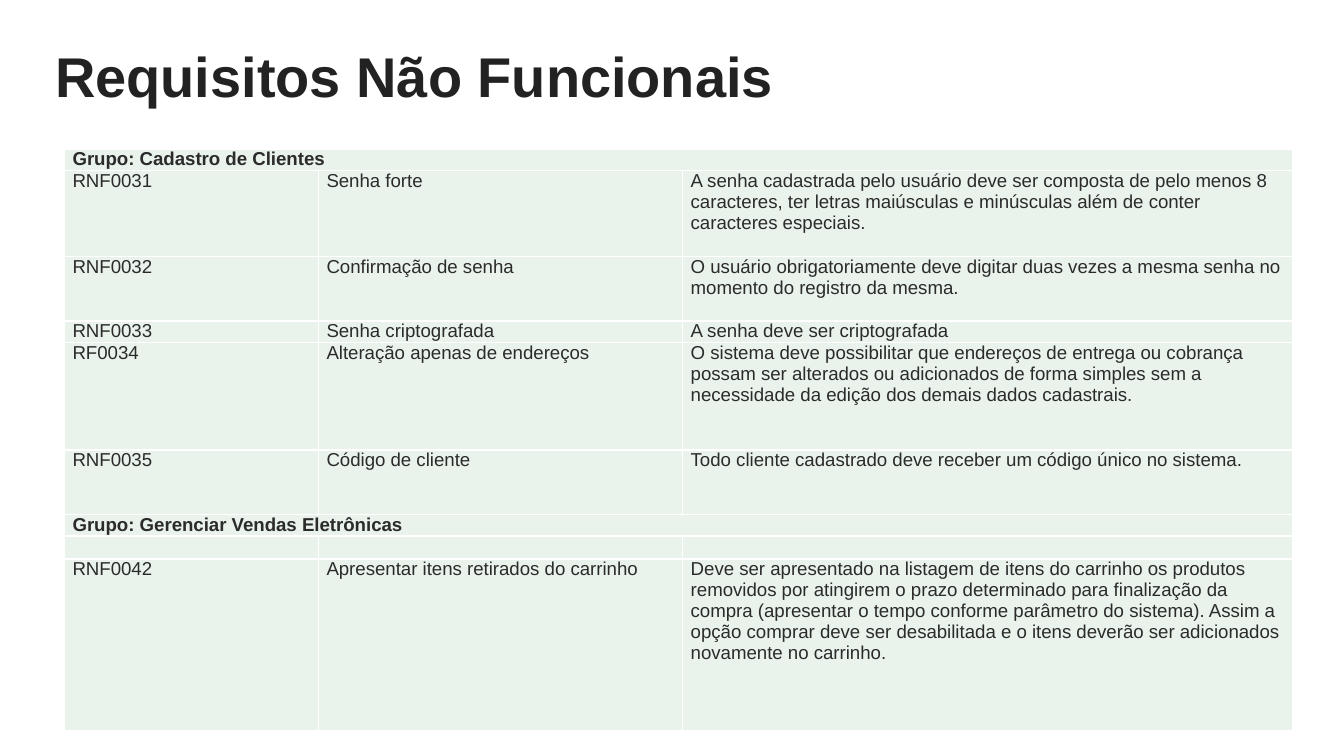
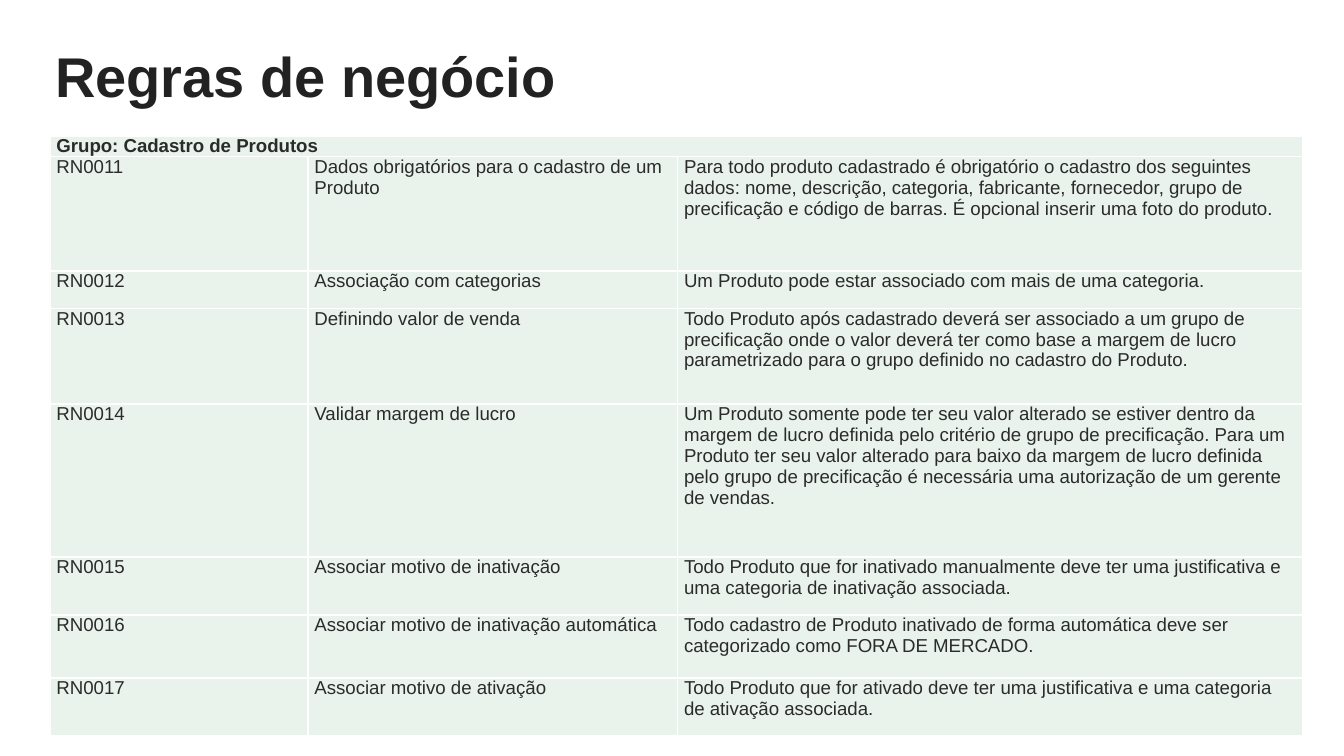
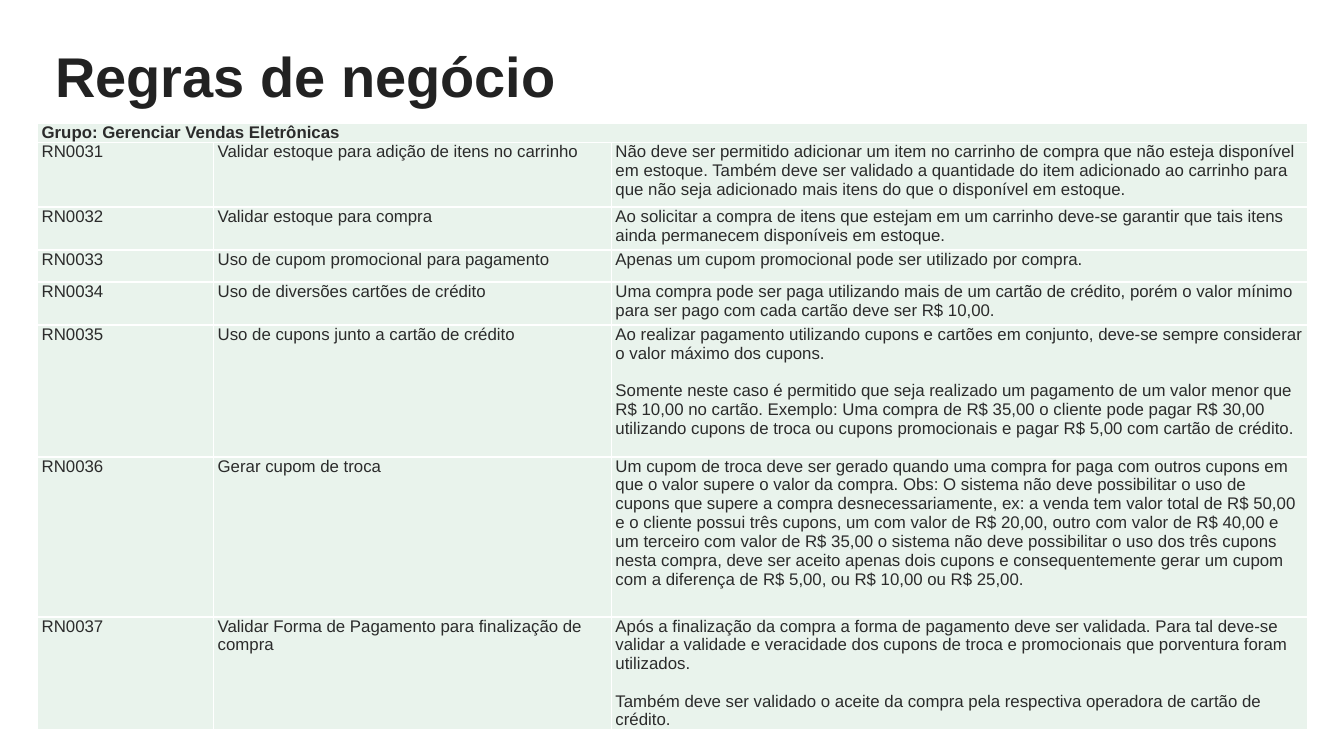
import pptx
import pptx.dml.color
import pptx.enum.text
import pptx.oxml
import pptx.oxml.ns
import pptx.util
from dataclasses import dataclass
from lxml import etree

Inches = pptx.util.Inches
Pt = pptx.util.Pt
qn = pptx.oxml.ns.qn


@dataclass(frozen=True)
class Theme:
    font: str = "Arial"
    title_color: str = "222222"
    text_color: str = "2B2B2B"
    cell_fill: str = "E9F3EC"
    border: str = "FFFFFF"
    border_pt: float = 1
    title_pt: float = 30
    body_pt: float = 10
    small_pt: float = 9


THEME = Theme()


# A row with one text is a group heading that spans the table.
NON_FUNCTIONAL = [
    ["Grupo: Cadastro de Clientes"],
    ["RNF0031", "Senha forte",
     "A senha cadastrada pelo usuário deve ser composta de pelo menos 8 caracteres, ter letras "
     "maiúsculas e minúsculas além de conter caracteres especiais."],
    ["RNF0032", "Confirmação de senha",
     "O usuário obrigatoriamente deve digitar duas vezes a mesma senha no momento do registro "
     "da mesma."],
    ["RNF0033", "Senha criptografada", "A senha deve ser criptografada"],
    ["RF0034", "Alteração apenas de endereços",
     "O sistema deve possibilitar que endereços de entrega ou cobrança possam ser alterados ou "
     "adicionados de forma simples sem a necessidade da edição dos demais dados cadastrais."],
    ["RNF0035", "Código de cliente",
     "Todo cliente cadastrado deve receber um código único no sistema."],
    ["Grupo: Gerenciar Vendas Eletrônicas"],
    ["", "", ""],
    ["RNF0042", "Apresentar itens retirados do carrinho",
     "Deve ser apresentado na listagem de itens do carrinho os produtos removidos por atingirem "
     "o prazo determinado para finalização da compra (apresentar o tempo conforme parâmetro do "
     "sistema). Assim a opção comprar deve ser desabilitada e o itens deverão ser adicionados "
     "novamente no carrinho."],
]

PRODUCT_RULES = [
    ["Grupo: Cadastro de Produtos"],
    ["RN0011", "Dados obrigatórios para o cadastro de um Produto",
     "Para todo produto cadastrado é obrigatório o cadastro dos seguintes dados: nome, "
     "descrição, categoria, fabricante, fornecedor, grupo de precificação e código de barras. "
     "É opcional inserir uma foto do produto."],
    ["RN0012", "Associação com categorias",
     "Um Produto pode estar associado com mais de uma categoria."],
    ["RN0013", "Definindo valor de venda",
     "Todo Produto após cadastrado deverá ser associado a um grupo de precificação onde o valor "
     "deverá ter como base a margem de lucro parametrizado para o grupo definido no cadastro "
     "do Produto."],
    ["RN0014", "Validar margem de lucro",
     "Um Produto somente pode ter seu valor alterado se estiver dentro da margem de lucro "
     "definida pelo critério de grupo de precificação. Para um Produto ter seu valor alterado "
     "para baixo da margem de lucro definida pelo grupo de precificação é necessária uma "
     "autorização de um gerente de vendas."],
    ["RN0015", "Associar motivo de inativação",
     "Todo Produto que for inativado manualmente deve ter uma justificativa e uma categoria de "
     "inativação associada."],
    ["RN0016", "Associar motivo de inativação automática",
     "Todo cadastro de Produto inativado de forma automática deve ser categorizado como FORA "
     "DE MERCADO."],
    ["RN0017", "Associar motivo de ativação",
     "Todo Produto que for ativado deve ter uma justificativa e uma categoria de ativação "
     "associada."],
]

SALES_RULES = [
    ["Grupo: Gerenciar Vendas Eletrônicas"],
    ["RN0031", "Validar estoque para adição de itens no carrinho",
     "Não deve ser permitido adicionar um item no carrinho de compra que não esteja disponível "
     "em estoque. Também deve ser validado a quantidade do item adicionado ao carrinho para que "
     "não seja adicionado mais itens do que o disponível em estoque."],
    ["RN0032", "Validar estoque para compra",
     "Ao solicitar a compra de itens que estejam em um carrinho deve-se garantir que tais itens "
     "ainda permanecem disponíveis em estoque."],
    ["RN0033", "Uso de cupom promocional para pagamento",
     "Apenas um cupom promocional pode ser utilizado por compra."],
    ["RN0034", "Uso de diversões cartões de crédito",
     "Uma compra pode ser paga utilizando mais de um cartão de crédito, porém o valor mínimo "
     "para ser pago com cada cartão deve ser R$ 10,00."],
    ["RN0035", "Uso de cupons junto a cartão de crédito",
     "Ao realizar pagamento utilizando cupons e cartões em conjunto, deve-se sempre considerar "
     "o valor máximo dos cupons.\n"
     "Somente neste caso é permitido que seja realizado um pagamento de um valor menor que "
     "R$ 10,00 no cartão. Exemplo: Uma compra de R$ 35,00 o cliente pode pagar R$ 30,00 "
     "utilizando cupons de troca ou cupons promocionais e pagar R$ 5,00 com cartão de crédito."],
    ["RN0036", "Gerar cupom de troca",
     "Um cupom de troca deve ser gerado quando uma compra for paga com outros cupons em que o "
     "valor supere o valor da compra. Obs: O sistema não deve possibilitar o uso de cupons que "
     "supere a compra desnecessariamente, ex: a venda tem valor total de R$ 50,00 e o cliente "
     "possui três cupons, um com valor de R$ 20,00, outro com valor de R$ 40,00 e um terceiro "
     "com valor de R$ 35,00 o sistema não deve possibilitar o uso dos três cupons nesta compra, "
     "deve ser aceito apenas dois cupons e consequentemente gerar um cupom com a diferença de "
     "R$ 5,00, ou R$ 10,00 ou R$ 25,00."],
    ["RN0037", "Validar Forma de Pagamento para finalização de compra",
     "Após a finalização da compra a forma de pagamento deve ser validada. Para tal deve-se "
     "validar a validade e veracidade dos cupons de troca e promocionais que porventura foram "
     "utilizados.\n"
     "Também deve ser validado o aceite da compra pela respectiva operadora de cartão de "
     "crédito."],
]


def style_font(font, size, color, bold):
    font.name = THEME.font
    font.size = Pt(size)
    font.bold = bold
    font.color.rgb = pptx.dml.color.RGBColor.from_string(color)


def add_titled_slide(prs, title):
    """Add a slide with its heading in the title placeholder."""
    slide = prs.slides.add_slide(prs.slide_layouts[5])
    sp = slide.shapes.title
    sp.left, sp.top, sp.width, sp.height = map(Inches, (0.31, 0.21, 9.32, 0.66))
    tf = sp.text_frame
    tf.text = title
    tf.word_wrap = True
    tf.auto_size = pptx.enum.text.MSO_AUTO_SIZE.NONE
    tf.vertical_anchor = pptx.enum.text.MSO_ANCHOR.TOP
    tf.margin_left = tf.margin_right = Inches(0.1)
    tf.margin_top = tf.margin_bottom = Inches(0.1)
    p = tf.paragraphs[0]
    p.alignment = pptx.enum.text.PP_ALIGN.LEFT
    style_font(p.runs[0].font, THEME.title_pt, THEME.title_color, True)
    return slide


def set_borders(cell):
    """Rule all four sides; borders must precede the fill in the cell XML."""
    tc_pr = cell._tc.get_or_add_tcPr()
    for i, side in enumerate(("a:lnL", "a:lnR", "a:lnT", "a:lnB")):
        ln = etree.Element(qn(side), w=str(Pt(THEME.border_pt)))
        fill = etree.SubElement(ln, qn("a:solidFill"))
        etree.SubElement(fill, qn("a:srgbClr"), val=THEME.border)
        tc_pr.insert(i, ln)


def fill_cell(cell, text, size, inset, bold):
    cell.fill.solid()
    cell.fill.fore_color.rgb = pptx.dml.color.RGBColor.from_string(THEME.cell_fill)
    set_borders(cell)
    cell.margin_left = cell.margin_right = Inches(inset)
    cell.margin_top = cell.margin_bottom = 0
    cell.text_frame.text = text
    for i, p in enumerate(cell.text_frame.paragraphs):
        if i:
            p.space_before = Pt(size * 1.1)
        for r in p.runs:
            style_font(r.font, size, THEME.text_color, bold)
        if not p.runs:  # keeps an empty row as low as a line of text
            etree.SubElement(p._p, qn("a:endParaRPr"), sz=str(int(size * 100)))


def add_rules_table(slide, rows, left, top, widths, heights, inset, size=THEME.body_pt):
    """Add a table of code, name and description under group headings."""
    frame = slide.shapes.add_table(
        len(rows), len(widths), Inches(left), Inches(top),
        Inches(sum(widths)), Inches(sum(heights)))
    table = frame.table
    table.first_row = table.horz_banding = False
    for column, width in zip(table.columns, widths):
        column.width = Inches(width)
    for i, (texts, height) in enumerate(zip(rows, heights)):
        table.rows[i].height = Inches(height)
        is_group = len(texts) == 1
        if is_group:
            table.cell(i, 0).merge(table.cell(i, len(widths) - 1))
        for j in range(len(widths)):
            text = texts[j] if j < len(texts) else ""
            fill_cell(table.cell(i, j), text, size, inset, is_group)


def main():
    prs = pptx.Presentation()
    prs.slide_width = Inches(10)
    prs.slide_height = prs.slide_width * 9 // 16

    # Non-functional requirements
    slide = add_titled_slide(prs, "Requisitos Não Funcionais")
    add_rules_table(slide, NON_FUNCTIONAL, 0.48, 1.11, (1.89, 2.71, 4.54),
                    (0.16, 0.64, 0.48, 0.16, 0.8, 0.48, 0.16, 0.16, 1.28), inset=0.06)

    # Business rules: products
    slide = add_titled_slide(prs, "Regras de negócio")
    add_rules_table(slide, PRODUCT_RULES, 0.37, 1.01, (1.92, 2.75, 4.65),
                    (0.14, 0.85, 0.28, 0.71, 1.14, 0.43, 0.47, 0.43), inset=0.05)

    # Business rules: online sales
    slide = add_titled_slide(prs, "Regras de negócio")
    add_rules_table(slide, SALES_RULES, 0.28, 0.92, (1.31, 2.96, 5.18),
                    (0.09, 0.48, 0.32, 0.24, 0.32, 0.98, 1.19, 0.71), inset=0.03,
                    size=THEME.small_pt)

    prs.save("out.pptx")


if __name__ == "__main__":
    main()
